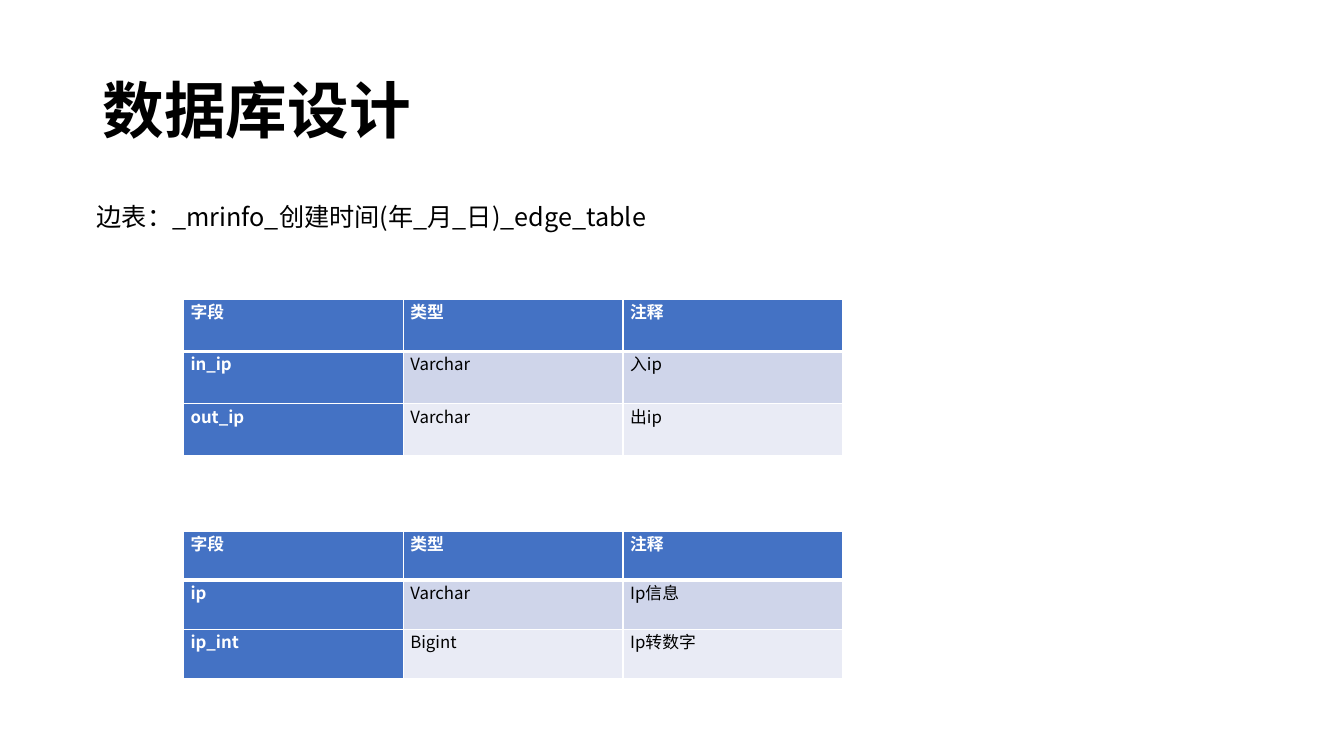
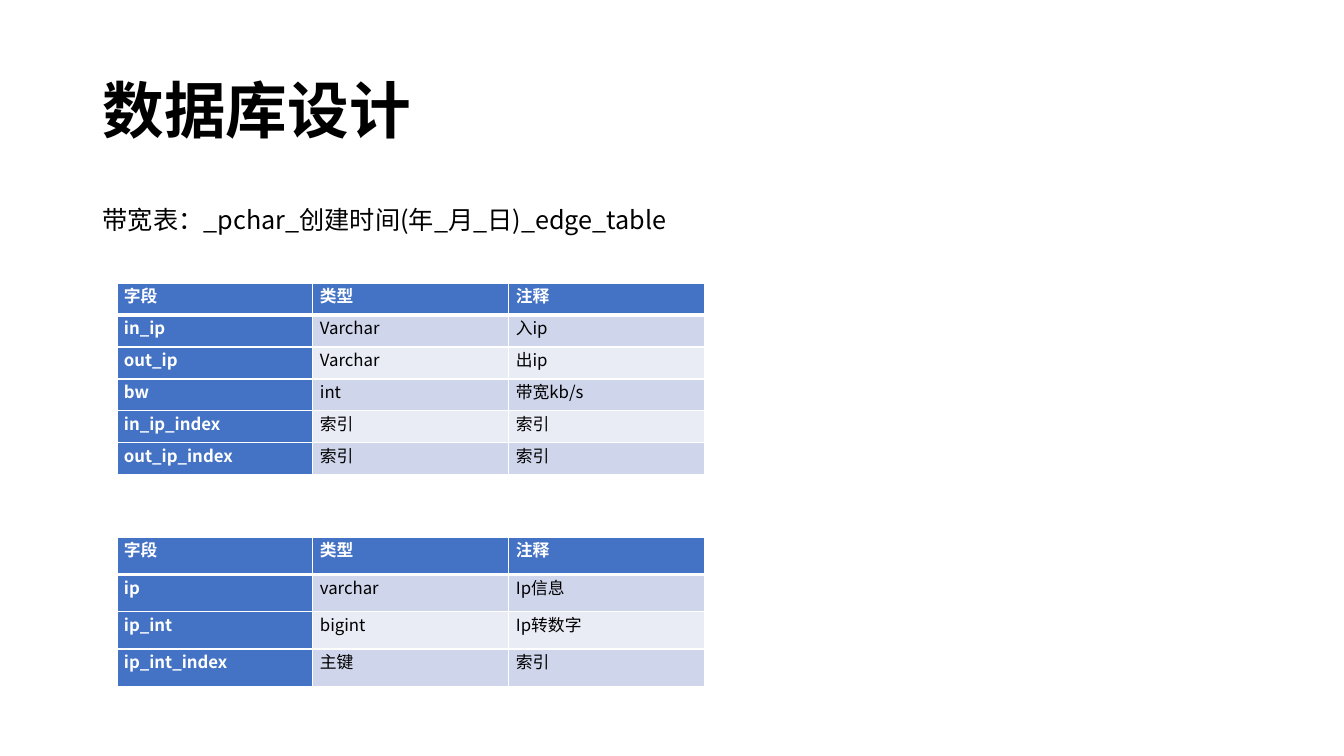
from dataclasses import dataclass

from lxml import etree
from pptx import Presentation, util as u
from pptx.dml.color import RGBColor
from pptx.enum import text as t
from pptx.oxml import ns

# Shared look
FONT = "Noto Sans CJK SC"
BLACK = RGBColor(0x00, 0x00, 0x00)
WHITE = RGBColor(0xFF, 0xFF, 0xFF)
BLUE = RGBColor(0x44, 0x72, 0xC4)
BANDS = (RGBColor(0xCF, 0xD5, 0xEA), RGBColor(0xE9, 0xEB, 0xF5))
WIDE, HIGH = 13.33, 7.5
TITLE = "数据库设计"
HEAD = ("字段", "类型", "注释")
THIN, THICK = 1, 3


@dataclass(frozen=True)
class Box:
    """A place on the slide, in inches."""
    x: float
    y: float
    w: float
    h: float

    def emu(self) -> list[int]:
        return [u.Inches(v) for v in (self.x, self.y, self.w, self.h)]


@dataclass(frozen=True)
class Grid:
    box: Box
    rows: tuple[tuple[str, str, str], ...]


@dataclass(frozen=True)
class Page:
    label: str
    spot: Box
    grids: tuple[Grid, ...]


TITLE_BOX = Box(0.92, 0.4, 11.5, 1.45)

PAGES = (
    Page("边表：_mrinfo_创建时间(年_月_日)_edge_table", Box(0.86, 1.95, 7.98, 0.4), (
        Grid(Box(1.82, 2.97, 6.54, 1.55), (
            ("in_ip", "Varchar", "入ip"),
            ("out_ip", "Varchar", "出ip"))),
        Grid(Box(1.82, 5.27, 6.54, 1.46), (
            ("ip", "Varchar", "Ip信息"),
            ("ip_int", "Bigint", "Ip转数字"))))),
    Page("带宽表：_pchar_创建时间(年_月_日)_edge_table", Box(0.92, 1.98, 7.98, 0.4), (
        Grid(Box(1.16, 2.81, 5.83, 1.9), (
            ("in_ip", "Varchar", "入ip"),
            ("out_ip", "Varchar", "出ip"),
            ("bw", "int", "带宽kb/s"),
            ("in_ip_index", "索引", "索引"),
            ("out_ip_index", "索引", "索引"))),
        Grid(Box(1.16, 5.33, 5.83, 1.48), (
            ("ip", "varchar", "Ip信息"),
            ("ip_int", "bigint", "Ip转数字"),
            ("ip_int_index", "主键", "索引"))))),
)


def style(para, size: int, color: RGBColor, bold: bool = False) -> None:
    """Set the paragraph's font, for Latin and Chinese letters alike."""
    font = para.font
    font.size, font.bold, font.name = u.Pt(size), bold, FONT
    font.color.rgb = color
    props = para._p.pPr.find(ns.qn("a:defRPr"))
    latin = props.find(ns.qn("a:latin"))
    east = etree.Element(ns.qn("a:ea"), typeface=FONT)
    latin.addnext(east)


def write(slide, box: Box, words: str, size: int, bold: bool = False):
    """Add a wrapped text box and return its frame."""
    frame = slide.shapes.add_textbox(*box.emu()).text_frame
    frame.word_wrap = True
    frame.text = words
    style(frame.paragraphs[0], size, BLACK, bold)
    return frame


def edge(cell, side: str, width: int) -> None:
    """Draw one white cell border."""
    props = cell._tc.get_or_add_tcPr()
    line = etree.SubElement(props, ns.qn(f"a:ln{side}"), w=str(u.Pt(width)))
    fill = etree.SubElement(line, ns.qn("a:solidFill"))
    etree.SubElement(fill, ns.qn("a:srgbClr"), val=str(WHITE))


def fill_cell(cell, words: str, row: int, col: int) -> None:
    """Style a cell by its place: head row, key column or band."""
    key = row == 0 or col == 0
    cell.margin_left = cell.margin_right = u.Inches(0.07)
    cell.margin_top = cell.margin_bottom = 0
    # The rule under the head row is shared by rows 0 and 1
    thick = {(0, "B"), (1, "T")}
    for side in "LRTB":
        edge(cell, side, THICK if (row, side) in thick else THIN)
    cell.fill.solid()
    cell.fill.fore_color.rgb = BLUE if key else BANDS[(row - 1) % 2]
    cell.text = words
    para = cell.text_frame.paragraphs[0]
    para.alignment = t.PP_ALIGN.JUSTIFY
    style(para, 12, WHITE if key else BLACK, key)


def draw_grid(slide, grid: Grid) -> None:
    """Add a table with equal columns and equal rows."""
    rows = (HEAD, *grid.rows)
    table = slide.shapes.add_table(len(rows), len(HEAD), *grid.box.emu()).table
    for col in table.columns:
        col.width = u.Inches(grid.box.w / len(HEAD))
    for line in table.rows:
        line.height = u.Inches(grid.box.h / len(rows))
    for r, row in enumerate(rows):
        for c, words in enumerate(row):
            fill_cell(table.cell(r, c), words, r, c)


def draw_page(deck, page: Page) -> None:
    slide = deck.slides.add_slide(deck.slide_layouts[6])
    # Title
    title = write(slide, TITLE_BOX, TITLE, 44, True)
    title.vertical_anchor = t.MSO_ANCHOR.MIDDLE
    title.paragraphs[0].line_spacing = 0.9
    # Tables
    for grid in page.grids:
        draw_grid(slide, grid)
    # Table name
    label = write(slide, page.spot, page.label, 18)
    label.auto_size = t.MSO_AUTO_SIZE.SHAPE_TO_FIT_TEXT


def main() -> None:
    deck = Presentation()
    deck.slide_width, deck.slide_height = u.Inches(WIDE), u.Inches(HIGH)
    for page in PAGES:
        draw_page(deck, page)
    deck.save("out.pptx")


if __name__ == "__main__":
    main()
